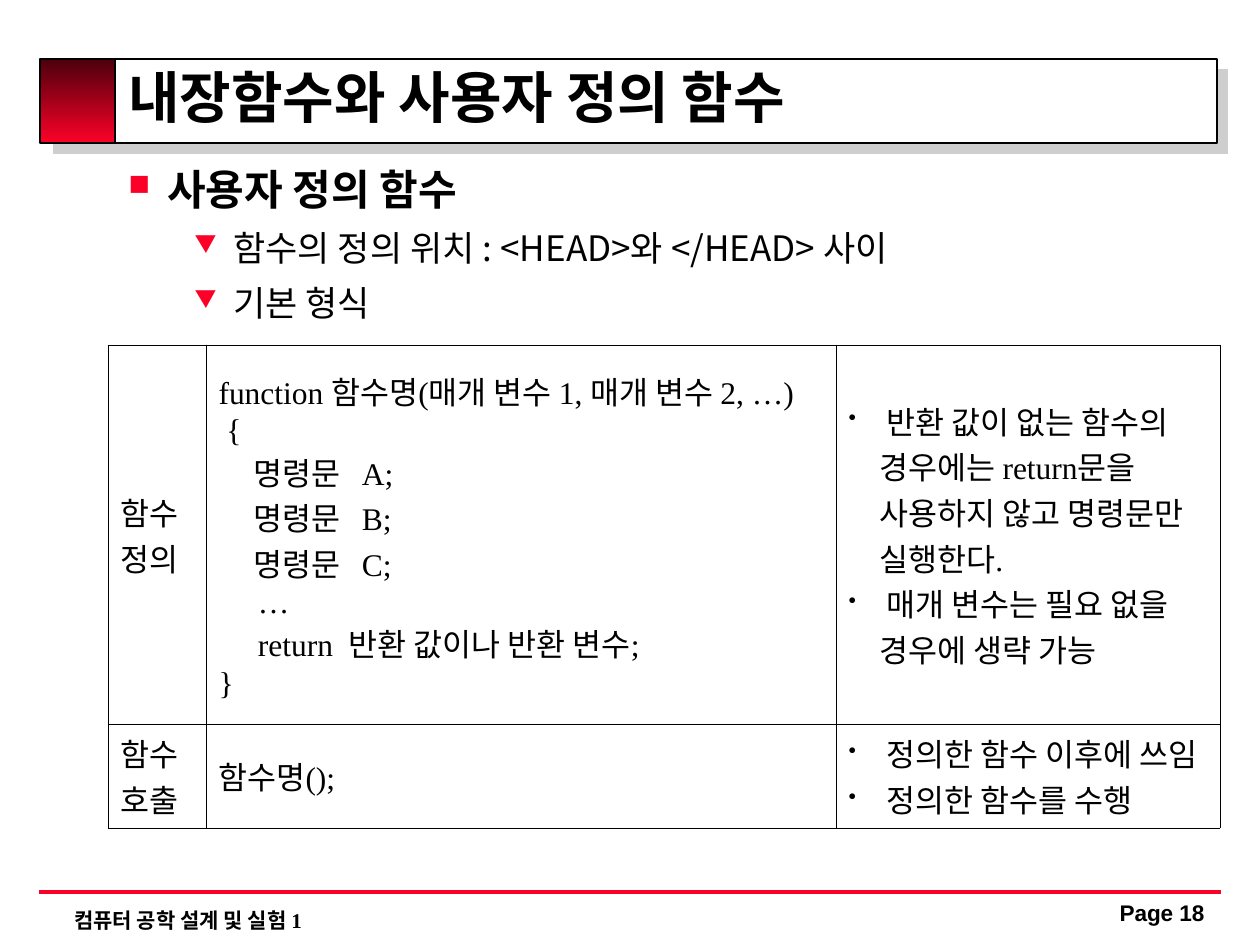
from dataclasses import dataclass

from lxml import etree
from pptx import Presentation
from pptx.dml.color import RGBColor
from pptx.enum.shapes import MSO_CONNECTOR, MSO_SHAPE
from pptx.enum.text import MSO_ANCHOR, PP_ALIGN
from pptx.oxml.ns import qn
from pptx.util import Emu, Pt

RECTANGLE = MSO_SHAPE.RECTANGLE
STRAIGHT = MSO_CONNECTOR.STRAIGHT
TOP, MIDDLE = MSO_ANCHOR.TOP, MSO_ANCHOR.MIDDLE
LEFT, CENTER = PP_ALIGN.LEFT, PP_ALIGN.CENTER
PIXELS_PER_INCH = 126


@dataclass(frozen=True)
class Theme:
    """Colours, fonts and type sizes of the slide."""
    ink: str = "000000"
    paper: str = "FFFFFF"
    accent: str = "FC0128"
    accent_dark: str = "4B000C"
    shadow: str = "CECECE"
    serif: str = "Times New Roman"
    sans: str = "Arial"
    korean: str = "Noto Sans CJK KR"
    title: float = 32
    heading: float = 24
    body: float = 20
    cell: float = 18
    footer: float = 12
    page: float = 12.9


THEME = Theme()


def px(value):
    """Turn pixels into EMU."""
    return Emu(round(value * 914400 / PIXELS_PER_INCH))


def rgb(value):
    """Turn a hex string into a colour."""
    return RGBColor.from_string(value)


def add_element(parent, tag, **attributes):
    """Append a drawing element with attributes."""
    element = etree.SubElement(parent, qn(tag))
    for name, value in attributes.items():
        element.set(name, str(value))
    return element


def add_shadow(effects, distance):
    """Add a diagonal outer shadow to an effect list."""
    shadow = add_element(effects, "a:outerShdw", blurRad=0, dist=Pt(distance), dir=45 * 60000)
    add_element(shadow, "a:srgbClr", val=THEME.shadow)


def add_bullet(paragraph, symbol, color, margin, hanging):
    """Give a paragraph a coloured hanging bullet."""
    properties = paragraph._p.get_or_add_pPr()
    properties.set("marL", str(px(margin)))
    properties.set("indent", str(-px(hanging)))
    bullet_color = add_element(properties, "a:buClr")
    add_element(bullet_color, "a:srgbClr", val=color)
    add_element(properties, "a:buSzPct", val=70000)
    add_element(properties, "a:buChar", char=symbol)


def write(frame, text, size=THEME.cell, font=THEME.serif, bold=False, align=LEFT, before=0,
          spacing=None, bullet=None, bullet_color=THEME.ink, margin=31, hanging=31,
          shadow=None, first=False):
    """Write one formatted paragraph into a text frame."""
    paragraph = frame.paragraphs[0] if first else frame.add_paragraph()
    paragraph.text = text
    paragraph.alignment = align
    if bullet:
        add_bullet(paragraph, bullet, bullet_color, margin, hanging)
    paragraph.space_before = Pt(before)
    if spacing:
        paragraph.line_spacing = spacing
    for run in paragraph.runs:
        run.font.size = Pt(size)
        run.font.bold = bold
        run.font.name = font
        run.font.color.rgb = rgb(THEME.ink)
        latin = run._r.rPr.find(qn("a:latin"))
        latin.addnext(latin.makeelement(qn("a:ea"), {"typeface": THEME.korean}))
        if shadow:
            effects = latin.makeelement(qn("a:effectLst"), {})
            latin.addprevious(effects)
            add_shadow(effects, shadow)


def add_text_box(slide, left, top, width, height, anchor=TOP):
    """Add a wrapping text box and return its frame."""
    frame = slide.shapes.add_textbox(px(left), px(top), px(width), px(height)).text_frame
    frame.word_wrap = True
    frame.vertical_anchor = anchor
    return frame


def add_rectangle(slide, left, top, width, height):
    """Add a white rectangle with a thin black outline."""
    shape = slide.shapes.add_shape(RECTANGLE, px(left), px(top), px(width), px(height))
    shape.shadow.inherit = False
    shape.fill.solid()
    shape.fill.fore_color.rgb = rgb(THEME.paper)
    shape.line.color.rgb = rgb(THEME.ink)
    shape.line.width = Pt(1)
    return shape


def add_title(slide):
    """Add the title bar with its gradient block and heading."""
    bar = add_rectangle(slide, 43, 59, 1174, 84)
    add_shadow(bar._element.spPr.find(qn("a:effectLst")), 8.5)
    block = add_rectangle(slide, 40, 59, 75, 84)
    block.fill.gradient()
    block.fill.gradient_angle = 270
    for stop, color in zip(block.fill.gradient_stops, (THEME.accent_dark, THEME.accent)):
        stop.color.rgb = rgb(color)
    frame = add_text_box(slide, 116, 55, 1105, 94, MIDDLE)
    write(frame, "내장함수와 사용자 정의 함수", size=THEME.title, bold=True,
          spacing=0.8, shadow=2, first=True)


def add_outline(slide):
    """Add the bulleted outline."""
    frame = add_text_box(slide, 116, 157, 1105, 669)
    write(frame, "사용자 정의 함수", size=THEME.heading, font=THEME.korean, bold=True,
          bullet="■", bullet_color=THEME.accent, margin=39, hanging=39, first=True)
    for text in ("함수의 정의 위치 : <HEAD>와 </HEAD> 사이", "기본 형식"):
        write(frame, text, size=THEME.body, font=THEME.korean, before=7.5,
              bullet="▼", bullet_color=THEME.accent, margin=105, hanging=39)


def add_borders(cell):
    """Draw a thin black line on each side of a cell."""
    properties = cell._tc.get_or_add_tcPr()
    for position, side in enumerate(("a:lnL", "a:lnR", "a:lnT", "a:lnB")):
        line = properties.makeelement(qn(side), {"w": str(Pt(0.45))})
        fill = add_element(line, "a:solidFill")
        add_element(fill, "a:srgbClr", val=THEME.ink)
        properties.insert(position, line)


def add_function_table(slide):
    """Add the table of function definition and call."""
    definition = ["function 함수명(매개 변수 1, 매개 변수 2, …)\v {",
                  *(f"     명령문   {name};" for name in "ABC"),
                  "     …", "     return  반환 값이나 반환 변수;", "}"]
    rows = [
        (["함수 정의"], definition,
         [" 반환 값이 없는 함수의 경우에는 return문을 사용하지 않고 명령문만 실행한다.",
          " 매개 변수는 필요 없을 경우에 생략 가능"]),
        (["함수 호출"], ["함수명();"], [" 정의한 함수 이후에 쓰임", " 정의한 함수를 수행"]),
    ]
    widths, heights = (98, 630, 384), (379, 104)
    table = slide.shapes.add_table(len(heights), len(widths), px(108), px(345),
                                   px(sum(widths)), px(sum(heights))).table
    table.first_row = table.horz_banding = False
    for column, width in zip(table.columns, widths):
        column.width = px(width)
    for row, height, contents in zip(table.rows, heights, rows):
        row.height = px(height)
        for index, (cell, lines) in enumerate(zip(row.cells, contents)):
            cell.fill.background()
            cell.vertical_anchor = MIDDLE
            add_borders(cell)
            for number, text in enumerate(lines):
                write(cell.text_frame, text, bullet="•" if index == 2 else None,
                      first=number == 0)


def add_footer(slide):
    """Add the footer rule, course name and page number."""
    rule = slide.shapes.add_connector(STRAIGHT, px(39), px(892), px(1221), px(892))
    rule.line.color.rgb = rgb(THEME.accent)
    rule.line.width = Pt(2.25)
    add_element(rule._element.spPr, "a:effectLst")
    write(add_text_box(slide, 62, 901, 842, 38), "컴퓨터 공학 설계 및 실험 1",
          size=THEME.footer, bold=True, first=True)
    write(add_text_box(slide, 1094, 896, 136, 42), "Page 18", size=THEME.page,
          font=THEME.sans, bold=True, align=CENTER, spacing=0.9, first=True)


def main():
    """Build and save the slide."""
    presentation = Presentation()
    presentation.slide_width = px(1260)
    presentation.slide_height = px(945)
    slide = presentation.slides.add_slide(presentation.slide_layouts[6])
    add_title(slide)
    add_outline(slide)
    add_function_table(slide)
    add_footer(slide)
    presentation.save("out.pptx")


if __name__ == "__main__":
    main()
